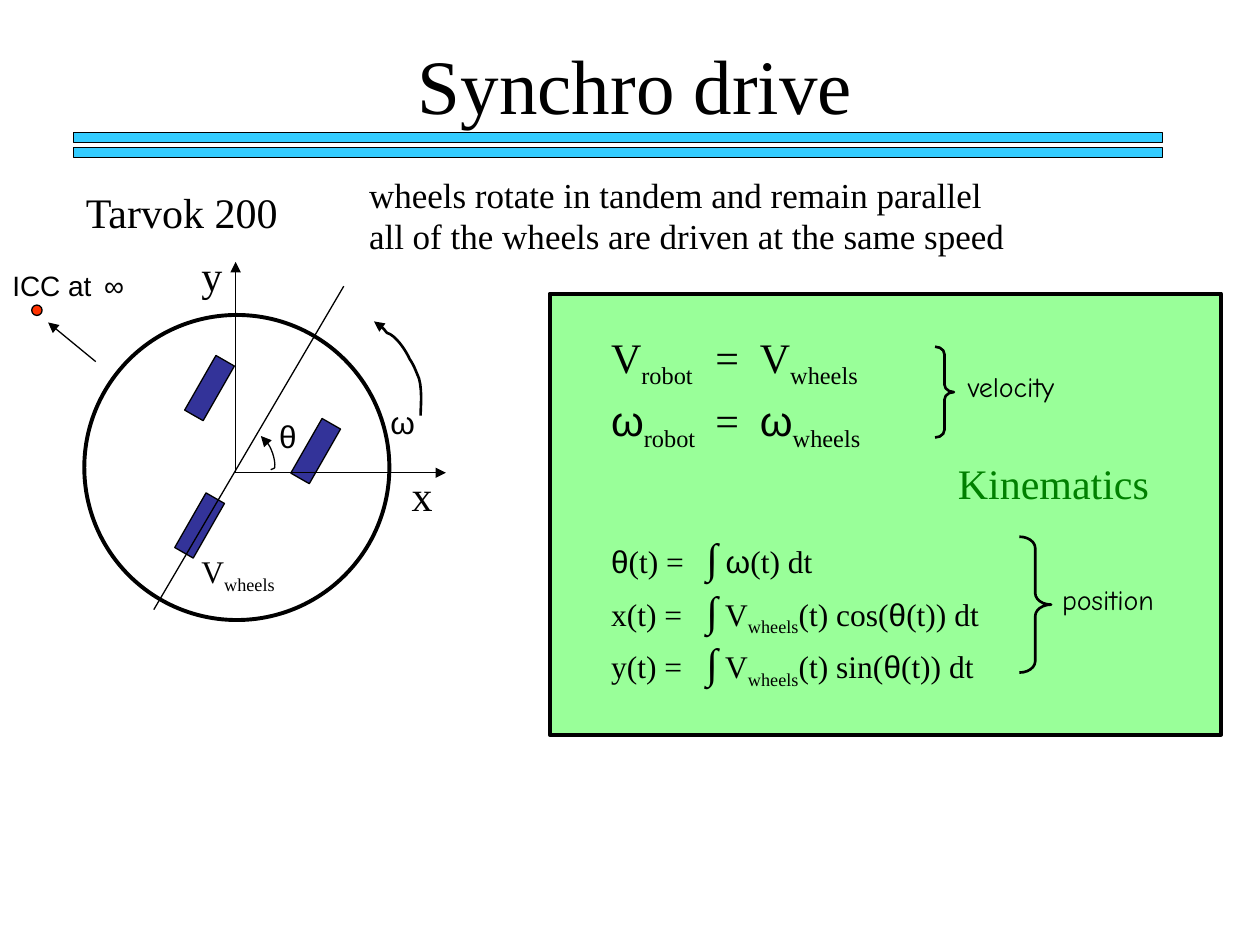
from pptx import Presentation
from pptx import util as u
from pptx.dml import color
from pptx.enum import shapes, text
from pptx.oxml.ns import qn
from lxml import etree

SERIF, SANS, HAND = "Times New Roman", "Arial", "Comic Neue"
SUB, GREEK, BIG = {"sub": True}, {"font": SANS}, {"size": 24}
BLACK = "000000"


def rgb(value):
    return color.RGBColor.from_string(value)


def place(box, x, y):
    return u.Cm(box[0] + x), u.Cm(box[1] + y)


def style(sp, fill=None, width=0.75):
    sp.shadow.inherit = False
    if fill:
        sp.fill.solid()
        sp.fill.fore_color.rgb = rgb(fill)
    else:
        sp.fill.background()
    sp.line.color.rgb = rgb(BLACK)
    sp.line.width = u.Pt(width)


def add_shape(s, kind, box, x, y, w, h, fill=None, width=0.75):
    sp = s.shapes.add_shape(kind, *place(box, x, y), u.Cm(w), u.Cm(h))
    style(sp, fill, width)
    return sp


def add_arrowhead(sp):
    etree.SubElement(sp.line._get_or_add_ln(), qn("a:tailEnd"), type="triangle")


def add_line(s, box, start, end, arrow=True):
    c = s.shapes.add_connector(shapes.MSO_CONNECTOR.STRAIGHT,
                               *place(box, *start), *place(box, *end))
    c.line.color.rgb = rgb(BLACK)
    c.line.width = u.Pt(0.75)
    if arrow:
        add_arrowhead(c)
    etree.SubElement(c._element.spPr, qn("a:effectLst"))


def bezier(points, steps=8):
    curve = []
    for i in range(0, len(points) - 1, 3):
        a, b, c, d = points[i:i + 4]
        for t in (n / steps for n in range(1, steps + 1)):
            v = 1 - t
            curve.append(tuple(
                v**3 * a[k] + 3 * v * v * t * b[k] + 3 * v * t * t * c[k] + t**3 * d[k]
                for k in (0, 1)))
    return curve


def add_curved_arrow(s, box, points, width):
    fb = s.shapes.build_freeform(*place(box, *points[0]))
    fb.add_line_segments([place(box, *pt) for pt in bezier(points)], close=False)
    sp = fb.convert_to_shape()
    style(sp, width=width)
    add_arrowhead(sp)


def add_text(s, box, x, y, w, h, runs, size, font=SERIF, ink=BLACK, tabs=(),
             align=text.PP_ALIGN.LEFT):
    if isinstance(runs, str):
        runs = [(runs, {})]
    tf = s.shapes.add_textbox(*place(box, x, y), u.Cm(w), u.Cm(h)).text_frame
    tf.word_wrap = True
    p = tf.paragraphs[0]
    p.alignment = align
    if tabs:
        stops = etree.SubElement(p._p.get_or_add_pPr(), qn("a:tabLst"))
        for stop in tabs:
            etree.SubElement(stops, qn("a:tab"), pos=str(u.Cm(stop)), algn="l")
    for words, look in runs:
        r = p.add_run()
        r.text = words
        r.font.size = u.Pt(look.get("size", size))
        r.font.name = look.get("font", font)
        r.font.color.rgb = rgb(ink)
        if look.get("sub"):
            r.font._element.set("baseline", "-25000")


def build_header(s, box):
    add_text(s, box, 2.33, 0.64, 20.95, 2.12, "Synchro drive", 44,
             align=text.PP_ALIGN.CENTER)
    for y in (2.67, 2.97):
        add_shape(s, shapes.MSO_SHAPE.RECTANGLE, box, 1.48, y, 21.95, 0.2, "33CCFF")
    add_text(s, box, 1.48, 3.63, 5.08, 1.27, "Tarvok 200", 24)
    facts = ("wheels rotate in tandem and remain parallel",
             "all of the wheels are driven at the same speed")
    for i, fact in enumerate(facts):
        add_text(s, box, 7.19, 3.38 + 0.81 * i, 13.76, 1.12, fact, 20)


def build_robot(s, box):
    add_shape(s, shapes.MSO_SHAPE.OVAL, box, 1.7, 1.47, 6.15, 6.15, width=2.25)
    for x, y in ((3.81, 5.08), (6.15, 3.58), (4.01, 2.31)):
        wheel = add_shape(s, shapes.MSO_SHAPE.RECTANGLE, box, x, y, 0.43, 1.27, "333399")
        wheel.rotation = 29.8
    centre = (4.75, 4.65)
    add_line(s, box, centre, (4.75, 0.4))
    add_line(s, box, centre, (8.99, 4.65))
    add_line(s, box, (3.1, 7.41), (6.93, 0.89), arrow=False)
    add_curved_arrow(s, box, [
        (5.46, 4.59), (5.49, 4.57), (5.54, 4.57), (5.54, 4.54), (5.56, 4.39),
        (5.46, 4.11), (5.38, 4.04), (5.33, 3.99), (5.26, 3.91), (5.26, 3.91)], 0.75)
    add_curved_arrow(s, box, [
        (8.48, 3.5), (8.48, 3.35), (8.53, 2.87), (8.41, 2.66), (8.36, 2.54),
        (8.33, 2.46), (8.26, 2.36), (8.18, 2.18), (7.98, 1.88), (7.8, 1.83),
        (7.75, 1.77), (7.72, 1.72), (7.67, 1.7), (7.62, 1.65), (7.54, 1.6),
        (7.54, 1.6)], 1.5)
    add_text(s, box, 8.05, 4.47, 1.91, 1.27, "x", 24)
    add_text(s, box, 3.81, 0.02, 1.91, 1.27, "y", 24)
    add_text(s, box, 5.38, 3.4, 1.91, 1.02, "θ", 18, SANS)
    add_text(s, box, 7.62, 3.12, 1.91, 1.02, "ω", 18, SANS)
    add_text(s, box, 3.81, 6.12, 2.34, 1.12, [("V", {}), ("wheels", SUB)], 18)
    add_shape(s, shapes.MSO_SHAPE.OVAL, box, 0.64, 1.27, 0.21, 0.21, "FF3300")
    add_line(s, box, (1.93, 2.41), (0.97, 1.62))
    add_text(s, box, 0, 0.4, 3.18, 0.94, "ICC at\t∞", 16, SANS, tabs=(1.85,))


def build_kinematics(s, box):
    add_shape(s, shapes.MSO_SHAPE.RECTANGLE, box, 0, 0, *box[2:], "99FF99", 2.25)
    add_text(s, box, 7.98, 3.18, 4.45, 1.27, "Kinematics", 24, ink="008000")

    for i, (symbol, look) in enumerate((("V", {}), ("ω", GREEK))):
        runs = [(symbol, look), ("robot", SUB), ("\t=\t", {}),
                (symbol, look), ("wheels", SUB)]
        add_text(s, box, 0.99, 0.64 + 1.27 * i, 6.55, 1.42, runs, 24, tabs=(2.1, 3))

    integrals = [[("θ", GREEK), ("(t) =\t", {}), ("∫", BIG), (" ", {}),
                  ("ω", GREEK), ("(t) dt", {})]]
    for axis, function in (("x", "cos"), ("y", "sin")):
        integrals.append([(f"{axis}(t) =\t", {}), ("∫", BIG), (" V", {}),
                          ("wheels", SUB), (f"(t) {function}(", {}),
                          ("θ", GREEK), ("(t)) dt", {})])
    for i, runs in enumerate(integrals):
        add_text(s, box, 0.99, 4.67 + 1.06 * i, 10.16, 1.35, runs, 18, tabs=(1.92,))

    groups = (("velocity", (8.18, 1.4), (7.77, 1.07, 0.38, 1.83), 0.4),
              ("position", (10.08, 5.69), (9.47, 4.9, 0.64, 2.74), 0.36))
    for label, corner, frame, bend in groups:
        add_text(s, box, *corner, 3.2, 0.94, label, 16, HAND)
        brace = add_shape(s, shapes.MSO_SHAPE.RIGHT_BRACE, box, *frame, width=1.5)
        brace.adjustments[0] = bend


def main():
    prs = Presentation()
    prs.slide_width, prs.slide_height = u.Cm(25.4), u.Cm(19.05)
    s = prs.slides.add_slide(prs.slide_layouts[6])
    build_kinematics(s, (11.08, 5.92, 13.54, 8.89))
    build_header(s, (0, 0))
    build_robot(s, (0, 4.88))
    prs.save("out.pptx")


if __name__ == "__main__":
    main()
